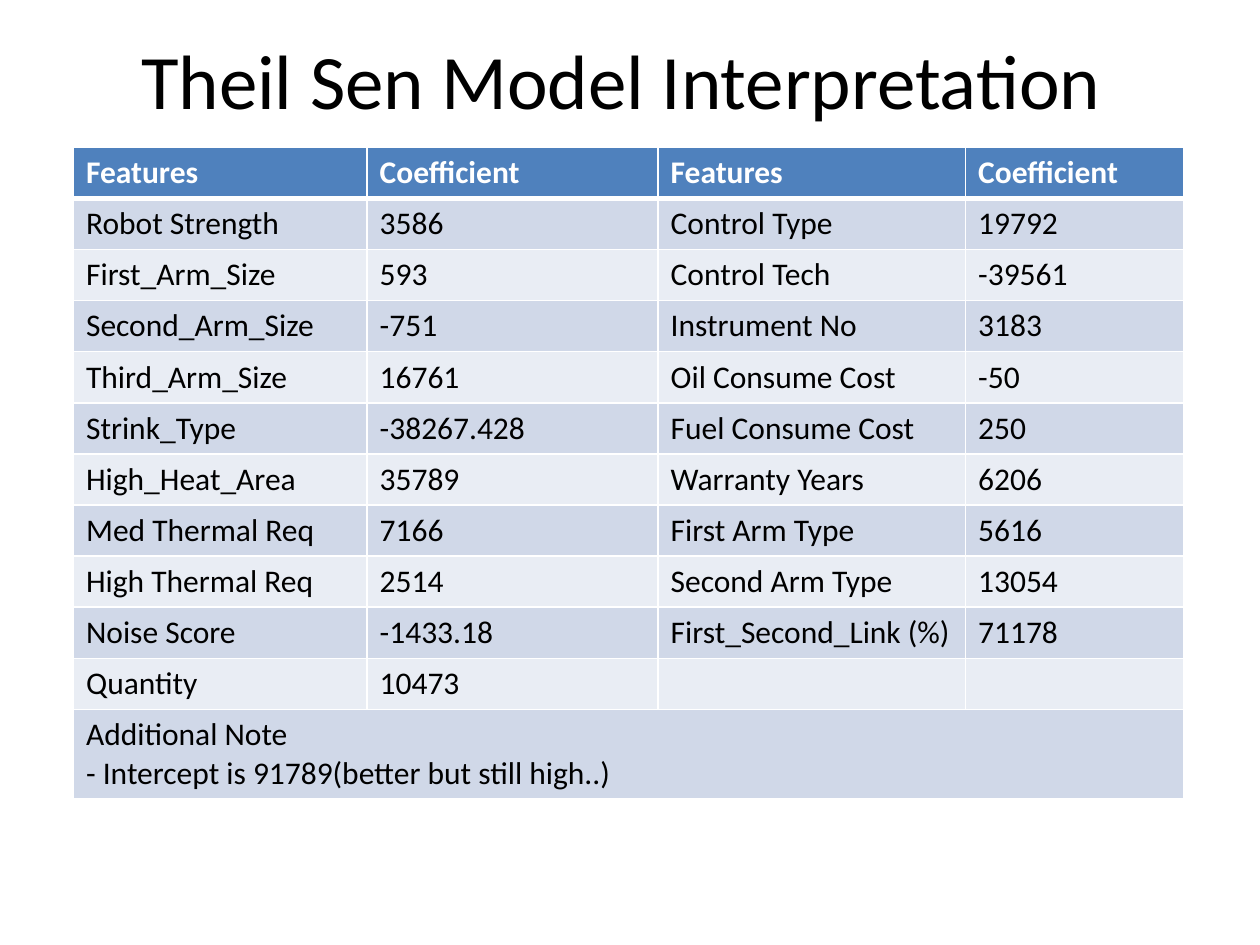
import pptx
import pptx.dml.color
import pptx.enum.text
import pptx.oxml
import pptx.oxml.ns
import pptx.util

Pt = pptx.util.Pt
RGBColor = pptx.dml.color.RGBColor

BLACK = RGBColor(0x00, 0x00, 0x00)
WHITE = RGBColor(0xFF, 0xFF, 0xFF)
HEADER_BLUE = RGBColor(0x4F, 0x81, 0xBD)
BAND_DARK = RGBColor(0xD0, 0xD8, 0xE8)
BAND_LIGHT = RGBColor(0xE9, 0xED, 0xF4)

COLUMN_WIDTHS = [167.8, 166.3, 175.7, 124.5]
ROW_HEIGHT = 29.2
NOTE_HEIGHT = 51.2

NOTE = "Additional Note\n- Intercept is 91789(better but still high..)"
COEFFICIENTS = [
    ["Features", "Coefficient", "Features", "Coefficient"],
    ["Robot Strength", "3586", "Control Type", "19792"],
    ["First_Arm_Size", "593", "Control Tech", "-39561"],
    ["Second_Arm_Size", "-751", "Instrument No", "3183"],
    ["Third_Arm_Size", "16761", "Oil Consume Cost", "-50"],
    ["Strink_Type", "-38267.428", "Fuel Consume Cost", "250"],
    ["High_Heat_Area", "35789", "Warranty Years", "6206"],
    ["Med Thermal Req", "7166", "First Arm Type", "5616"],
    ["High Thermal Req", "2514", "Second Arm Type", "13054"],
    ["Noise Score", "-1433.18", "First_Second_Link (%)", "71178"],
    ["Quantity", "10473", "", ""],
    [NOTE, "", "", ""],
]


class SlideBuilder:
    TITLE = {"name": "Calibri", "size": Pt(44), "bold": False}
    HEADER = {"name": "Calibri", "size": Pt(18), "bold": True}
    BODY = {"name": "Calibri", "size": Pt(18), "bold": False}

    def __init__(self, slide):
        self.slide = slide

    def set_text(self, frame, text, style, color, align=None):
        frame.text = text
        for paragraph in frame.paragraphs:
            paragraph.alignment = align
            for attribute, value in style.items():
                setattr(paragraph.font, attribute, value)
            paragraph.font.color.rgb = color

    def title(self, text, left, top, width, height):
        box = self.slide.shapes.add_textbox(Pt(left), Pt(top), Pt(width), Pt(height))
        frame = box.text_frame
        frame.word_wrap = True
        frame.vertical_anchor = pptx.enum.text.MSO_ANCHOR.MIDDLE
        self.set_text(frame, text, self.TITLE, BLACK, pptx.enum.text.PP_ALIGN.CENTER)

    def borders(self, cell, widths):
        """Draw white cell borders; widths maps L, R, T and B to points."""
        properties = cell._tc.get_or_add_tcPr()
        for side, width in widths.items():
            properties.append(pptx.oxml.parse_xml(
                f'<a:ln{side} {pptx.oxml.ns.nsdecls("a")} w="{Pt(width)}">'
                f'<a:solidFill><a:srgbClr val="{WHITE}"/></a:solidFill></a:ln{side}>'))

    def table(self, rows, left, top, widths, heights):
        """Build a banded table whose last row spans every column."""
        table = self.slide.shapes.add_table(
            len(rows), len(widths), Pt(left), Pt(top),
            Pt(sum(widths)), Pt(sum(heights))).table
        for column, width in zip(table.columns, widths):
            column.width = Pt(width)
        for row, height in zip(table.rows, heights):
            row.height = Pt(height)

        for r, texts in enumerate(rows):
            is_header = r == 0
            style, color = (self.HEADER, WHITE) if is_header else (self.BODY, BLACK)
            band = HEADER_BLUE if is_header else (BAND_LIGHT, BAND_DARK)[r % 2]
            edges = {"L": 1, "R": 1, "T": 3 if r == 1 else 1, "B": 3 if is_header else 1}
            for c, text in enumerate(texts):
                cell = table.cell(r, c)
                self.set_text(cell.text_frame, text, style, color)
                self.borders(cell, edges)
                cell.fill.solid()
                cell.fill.fore_color.rgb = band

        last = len(rows) - 1
        table.cell(last, 0).merge(table.cell(last, len(widths) - 1))


def main():
    presentation = pptx.Presentation()
    presentation.slide_width, presentation.slide_height = Pt(720), Pt(540)
    builder = SlideBuilder(presentation.slides.add_slide(presentation.slide_layouts[6]))

    builder.title("Theil Sen Model Interpretation ", 0, 0, 720, 90)
    heights = [ROW_HEIGHT] * (len(COEFFICIENTS) - 1) + [NOTE_HEIGHT]
    builder.table(COEFFICIENTS, 42, 84.2, COLUMN_WIDTHS, heights)

    presentation.save("out.pptx")


if __name__ == "__main__":
    main()
